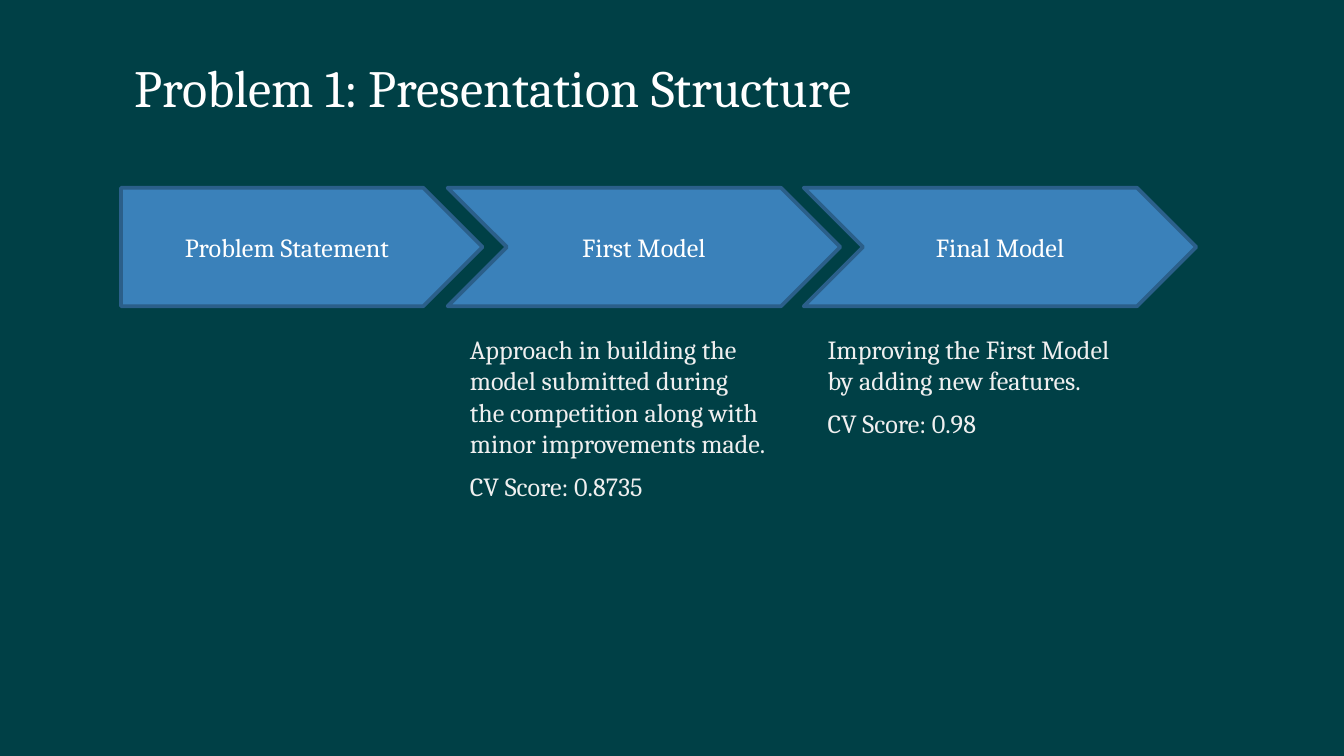
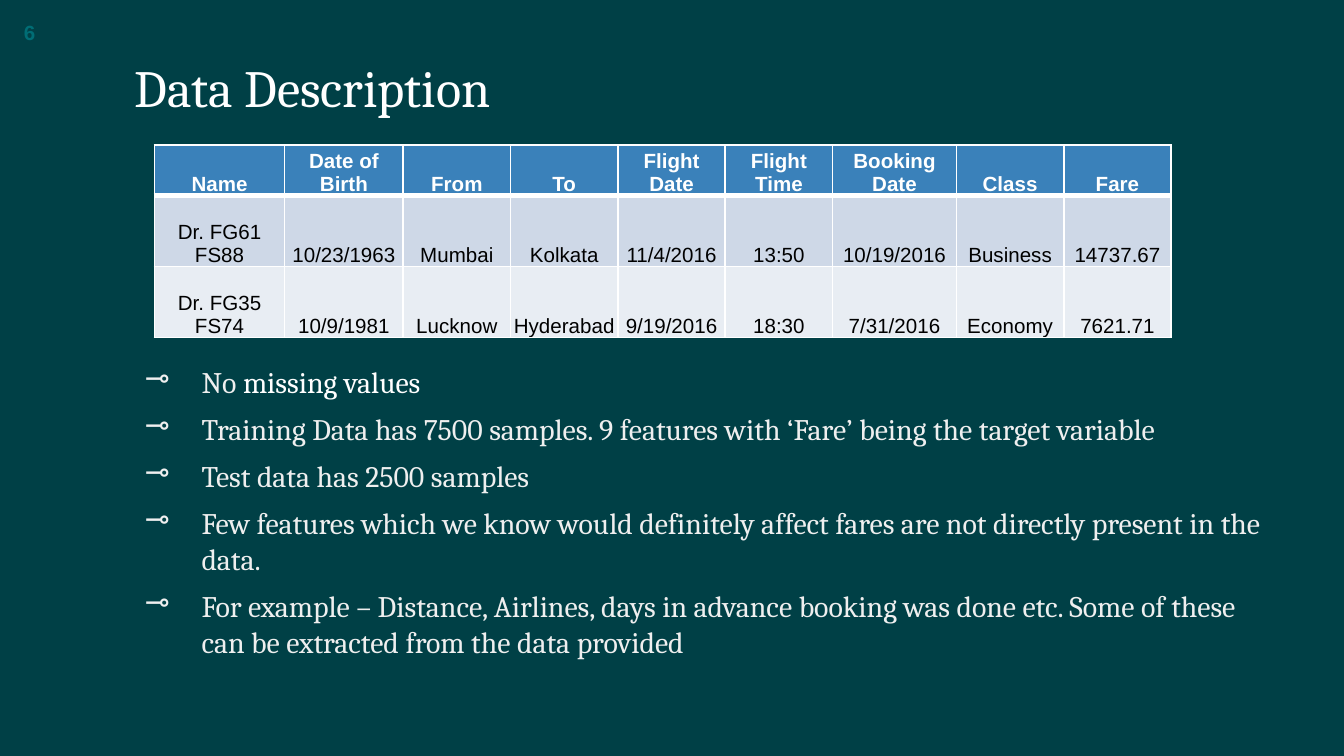
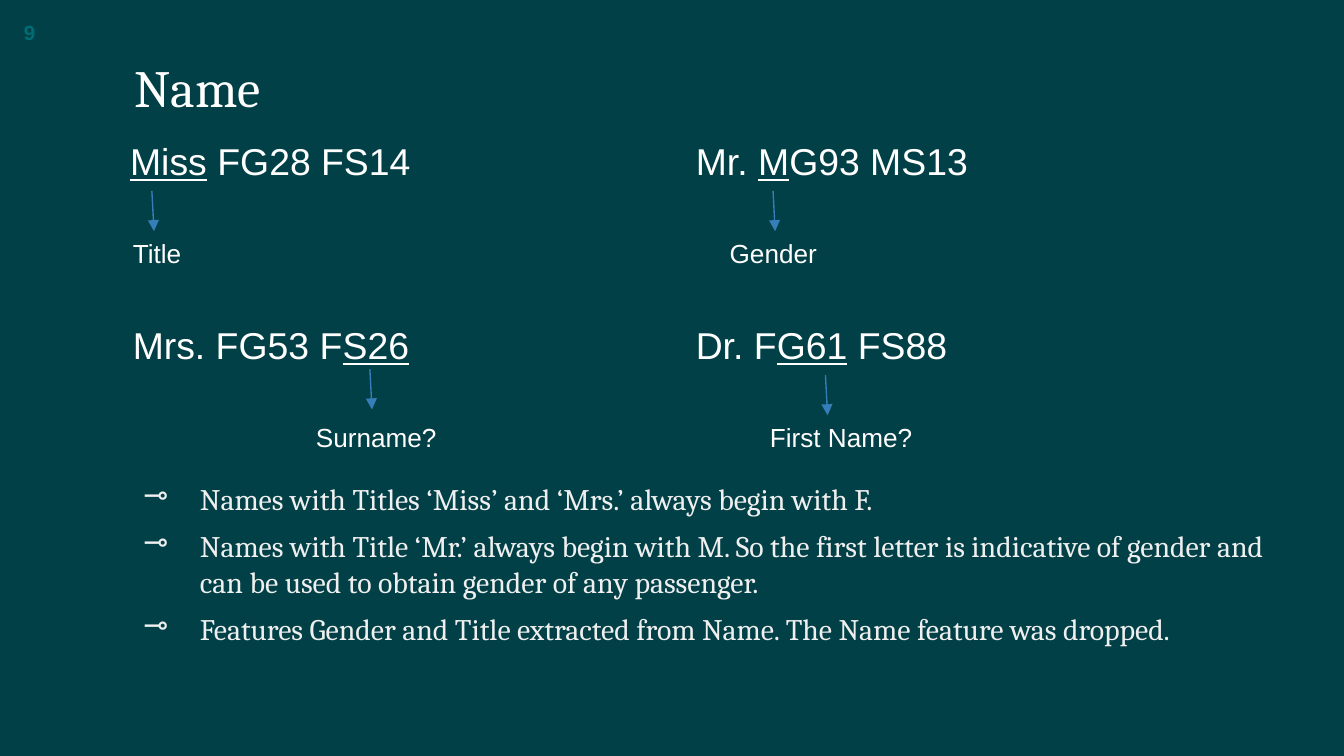
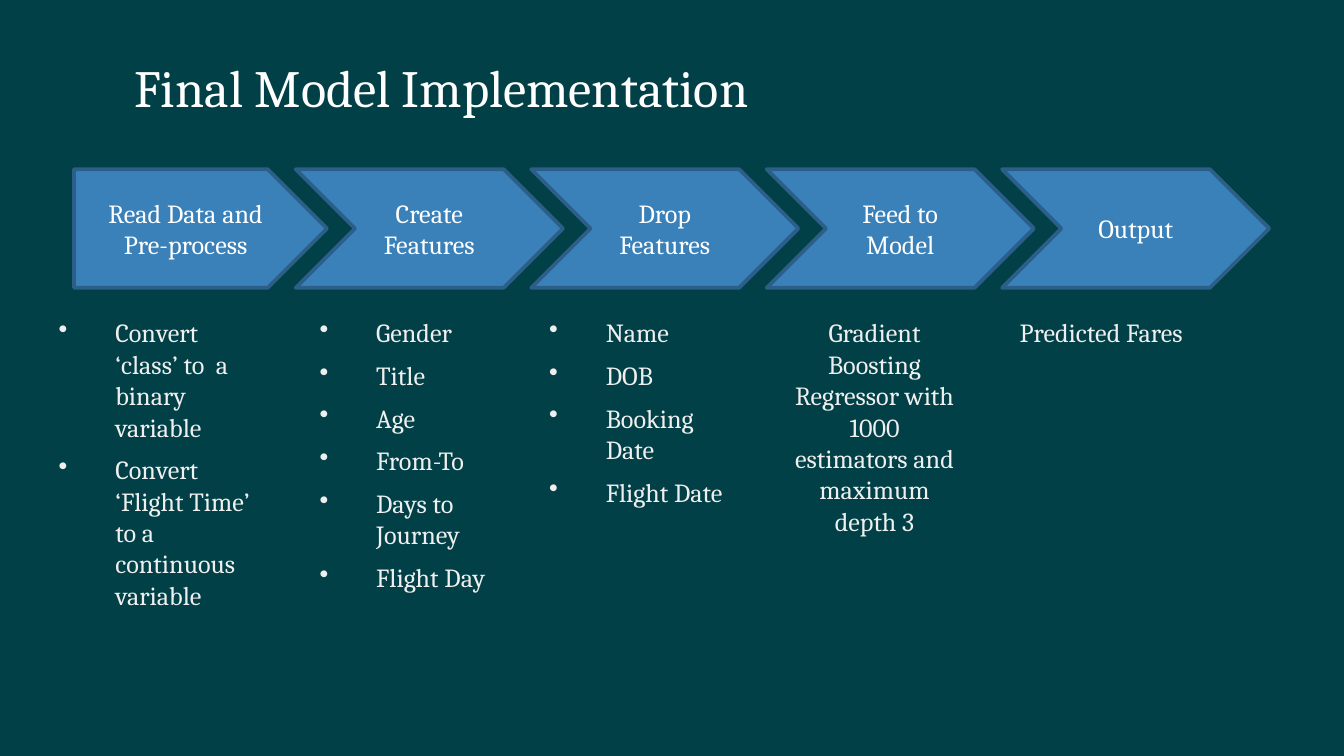
"""Build four slides on a flight fare prediction model."""
from dataclasses import dataclass

import pptx
import pptx.dml.color
import pptx.enum.shapes
import pptx.enum.text
import pptx.oxml
import pptx.oxml.ns
import pptx.util
from pptx.util import Cm

ALIGN = pptx.enum.text.PP_ALIGN
ANCHOR = pptx.enum.text.MSO_ANCHOR
SHAPE = pptx.enum.shapes.MSO_SHAPE


@dataclass(frozen=True)
class Theme:
    """Colours, fonts and type sizes shared by the slides."""

    background: str = "004046"
    white: str = "FFFFFF"
    black: str = "000000"
    body: str = "EFEFEF"
    page_number: str = "006D75"
    blue: str = "3A81BA"
    outline: str = "2B5F8A"
    pointer: str = "367EB9"
    bands: tuple = ("CED8E7", "E8EDF3")
    serif: str = "Cambria"
    sans: str = "Arial"
    title_size: int = 28
    name_size: int = 20
    bullet_size: int = 16
    text_size: int = 14
    table_size: int = 11


THEME = Theme()

FLIGHTS = (
    ("Name", "Date of Birth", "From", "To", "Flight Date", "Flight Time",
     "Booking Date", "Class", "Fare"),
    ("Dr. FG61 FS88", "10/23/1963", "Mumbai", "Kolkata", "11/4/2016", "13:50",
     "10/19/2016", "Business", "14737.67"),
    ("Dr. FG35 FS74", "10/9/1981", "Lucknow", "Hyderabad", "9/19/2016", "18:30",
     "7/31/2016", "Economy", "7621.71"),
)
COLUMN_WIDTHS = (2.46, 2.24, 2.03, 2.03, 2.03, 2.03, 2.34, 2.03, 2.03)
ROW_HEIGHTS = (0.96, 1.34, 1.34)


def color(value):
    """Turn a hex string into a colour."""
    return pptx.dml.color.RGBColor.from_string(value)


def style_run(run, size, hue, font=THEME.serif, bold=False, underline=False):
    """Set the type of one run."""
    run.font.name = font
    run.font.size = pptx.util.Pt(size)
    run.font.bold = bold
    run.font.underline = underline
    run.font.color.rgb = color(hue)


def style_text(text_frame, size, hue, font=THEME.serif, bold=False, align=ALIGN.LEFT):
    """Set the type and alignment of every paragraph in a frame."""
    for paragraph in text_frame.paragraphs:
        paragraph.alignment = align
        for run in paragraph.runs:
            style_run(run, size, hue, font, bold)


def set_margins(frame, left, top, right, bottom):
    """Set the inner margins of a text frame or table cell."""
    frame.margin_left, frame.margin_top = Cm(left), Cm(top)
    frame.margin_right, frame.margin_bottom = Cm(right), Cm(bottom)


def add_titled_slide(presentation, title, width=14.35):
    """Add a title-only slide with its title in place."""
    slide = presentation.slides.add_slide(presentation.slide_layouts[5])
    shape = slide.shapes.title
    shape.left, shape.top, shape.width, shape.height = Cm(2.29), Cm(0.51), Cm(width), Cm(1.98)
    text_frame = shape.text_frame
    text_frame.text = title
    text_frame.auto_size = pptx.enum.text.MSO_AUTO_SIZE.NONE
    text_frame.vertical_anchor = ANCHOR.BOTTOM
    set_margins(text_frame, 0.25, 0.25, 0.25, 0.25)
    style_text(text_frame, THEME.title_size, THEME.white)
    return slide


def add_text_box(slide, left, top, width, height, text):
    """Add a wrapping text box and return its frame."""
    shape = slide.shapes.add_textbox(Cm(left), Cm(top), Cm(width), Cm(height))
    text_frame = shape.text_frame
    text_frame.word_wrap = True
    text_frame.text = text
    return text_frame


def add_page_number(slide, number):
    """Add the page number in the top left corner."""
    text_frame = add_text_box(slide, 0.2, 0.2, 1.2, 0.81, number)
    text_frame.vertical_anchor = ANCHOR.MIDDLE
    style_text(text_frame, THEME.table_size, THEME.page_number, THEME.sans, bold=True)


def add_body(slide, left, top, width, height, lines, bullet=None,
             size=THEME.text_size, align=ALIGN.LEFT):
    """Add body paragraphs, with hanging bullets if a bullet is given."""
    text_frame = add_text_box(slide, left, top, width, height, "\n".join(lines))
    set_margins(text_frame, 0.25, 0.25, 0.25, 0.25)
    style_text(text_frame, size, THEME.body, align=align)
    for paragraph in text_frame.paragraphs:
        paragraph.space_before = pptx.util.Pt(6)
        properties = paragraph._p.get_or_add_pPr()
        properties.set("marL", str(Cm(1.27 if bullet else 0.2)))
        properties.set("indent", str(Cm(-1.07 if bullet else 0)))
        if bullet:
            namespace = pptx.oxml.ns.nsdecls("a")
            properties.append(pptx.oxml.parse_xml(
                f'<a:buClr {namespace}><a:srgbClr val="{THEME.body}"/></a:buClr>'))
            properties.append(pptx.oxml.parse_xml(
                f'<a:buChar {namespace} char="{bullet}"/>'))
    return text_frame


def add_step(slide, preset, left, top, width, label):
    """Add one arrow-shaped process step."""
    shape = slide.shapes.add_shape(preset, Cm(left), Cm(top), Cm(width), Cm(2.24))
    shape.shadow.inherit = False
    shape.fill.solid()
    shape.fill.fore_color.rgb = color(THEME.blue)
    shape.line.color.rgb = color(THEME.outline)
    shape.line.width = pptx.util.Pt(2)
    shape.text_frame.text = label
    shape.text_frame.vertical_anchor = ANCHOR.MIDDLE
    style_text(shape.text_frame, THEME.text_size, THEME.white, align=ALIGN.CENTER)


def add_process(slide, labels, top, start, start_width, chevron_start, chevron_width, pitch):
    """Add a pentagon followed by evenly spaced chevrons."""
    add_step(slide, SHAPE.PENTAGON, start, top, start_width, labels[0])
    for index, label in enumerate(labels[1:]):
        add_step(slide, SHAPE.CHEVRON, chevron_start + index * pitch, top, chevron_width, label)


def add_cell_border(cell, side, points):
    """Draw one white edge of a table cell."""
    return pptx.oxml.parse_xml(
        f'<a:ln{side} {pptx.oxml.ns.nsdecls("a")} w="{pptx.util.Pt(points)}">'
        f'<a:solidFill><a:srgbClr val="{THEME.white}"/></a:solidFill></a:ln{side}>')


def style_cell(cell, is_header, fill):
    """Set the fill, type and borders of a table cell."""
    cell.fill.solid()
    cell.fill.fore_color.rgb = color(fill)
    cell.vertical_anchor = ANCHOR.BOTTOM
    set_margins(cell, 0.02, 0.02, 0.02, 0)
    style_text(cell.text_frame, THEME.table_size, THEME.white if is_header else THEME.black,
               THEME.sans, is_header, ALIGN.CENTER)
    properties = cell._tc.get_or_add_tcPr()
    for index, side in enumerate("LRTB"):
        points = 3 if is_header and side == "B" else 1
        properties.insert(index, add_cell_border(cell, side, points))


def add_flight_table(slide):
    """Add the table of sample flights."""
    table = slide.shapes.add_table(
        len(FLIGHTS), len(COLUMN_WIDTHS), Cm(2.92), Cm(2.74),
        Cm(sum(COLUMN_WIDTHS)), Cm(sum(ROW_HEIGHTS))).table
    for column, width in zip(table.columns, COLUMN_WIDTHS):
        column.width = Cm(width)
    fills = (THEME.blue, *THEME.bands)
    for row, height, values, fill in zip(table.rows, ROW_HEIGHTS, FLIGHTS, fills):
        row.height = Cm(height)
        for cell, value in zip(row.cells, values):
            cell.text = value
            style_cell(cell, values is FLIGHTS[0], fill)


def add_name_example(slide, left, top, parts):
    """Add a passenger name whose middle part is underlined."""
    text_frame = add_text_box(slide, left, top, 6.88, 1.12, "")
    for index, part in enumerate(parts):
        if part:
            run = text_frame.paragraphs[0].add_run()
            run.text = part
            style_run(run, THEME.name_size, THEME.white, THEME.sans, underline=index == 1)


def add_pointer(slide, left, top):
    """Add a short arrow pointing down."""
    connector = slide.shapes.add_connector(
        pptx.enum.shapes.MSO_CONNECTOR.STRAIGHT,
        Cm(left), Cm(top), Cm(left + 0.04), Cm(top + 0.76))
    connector.line.color.rgb = color(THEME.pointer)
    connector.line.width = pptx.util.Pt(0.75)
    namespace = pptx.oxml.ns.nsdecls("a")
    connector.line._get_or_add_ln().append(
        pptx.oxml.parse_xml(f'<a:tailEnd {namespace} type="triangle"/>'))
    connector._element.spPr.append(pptx.oxml.parse_xml(f'<a:effectLst {namespace}/>'))


def build_structure(presentation):
    """Build the slide on the presentation structure."""
    slide = add_titled_slide(presentation, "Problem 1: Presentation Structure", 15.57)
    add_process(slide, ("Problem Statement", "First Model", "Final Model"),
                3.55, 2.29, 6.83, 8.46, 7.42, 6.73)
    add_body(slide, 8.43, 6.05, 6.3, 5.61, (
        "Approach in building the model submitted during the competition along with "
        "minor improvements made.", "CV Score: 0.8735"))
    add_body(slide, 15.19, 6.05, 6.3, 3, (
        "Improving the First Model by adding new features.", "CV Score: 0.98"))


def build_data_description(presentation):
    """Build the slide on the data."""
    slide = add_titled_slide(presentation, "Data Description")
    add_page_number(slide, "6")
    add_flight_table(slide)
    text_frame = add_body(slide, 2.29, 6.63, 21.87, 7.06, (
        "No ",
        "Training Data has 7500 samples. 9 features with ‘Fare’ being the target variable",
        "Test data has 2500 samples",
        "Few features which we know would definitely affect fares are not directly present "
        "in the data.",
        "For example – Distance, Airlines, days in advance booking was done etc. Some of "
        "these can be extracted from the data provided",
    ), "⊸", THEME.bullet_size)
    run = text_frame.paragraphs[0].add_run()
    run.text = "missing values"
    style_run(run, THEME.bullet_size, THEME.white)


def build_name(presentation):
    """Build the slide on the parts of a passenger name."""
    slide = add_titled_slide(presentation, "Name")
    add_page_number(slide, "9")
    upper, lower = 2.49, 5.97
    examples = (
        (2.21, upper, ("", "Miss", " FG28 FS14"), 2.87, 3.61, "Title", 2.26),
        (12.9, upper, ("Mr. ", "M", "G93 MS13"), 14.61, 3.61, "Gender", 13.54),
        (2.26, lower, ("Mrs. FG53 F", "S26", ""), 6.99, 6.98, "Surname?", 5.72),
        (12.9, lower, ("Dr. F", "G61", " FS88"), 15.6, 7.09, "First Name?", 14.3),
    )
    for left, top, parts, pointer_left, pointer_top, label, label_left in examples:
        add_name_example(slide, left, top, parts)
        add_pointer(slide, pointer_left, pointer_top)
        text_frame = add_text_box(slide, label_left, top + 1.87, 3.33, 0.86, label)
        style_text(text_frame, THEME.text_size, THEME.white, THEME.sans)
    add_body(slide, 2.26, 8.84, 21.89, 4.52, (
        "Names with Titles ‘Miss’ and ‘Mrs.’ always begin with F.",
        "Names with Title ‘Mr.’ always begin with M. So the first letter is indicative of "
        "gender and can be used to obtain gender of any passenger.",
        "Features Gender and Title extracted from Name. The Name feature was dropped.",
    ), "⊸", THEME.bullet_size)


def build_implementation(presentation):
    """Build the slide on the final model."""
    slide = add_titled_slide(presentation, "Final Model Implementation")
    add_process(slide, ("Read Data and Pre-process", "Create\nFeatures", "Drop Features",
                        "Feed to Model", "Output"), 3.2, 1.4, 4.78, 5.59, 5.05, 4.45)
    columns = (
        (0.66, 4.32, "•", ALIGN.LEFT, (
            "Convert ‘class’ to  a binary variable",
            "Convert ‘Flight Time’ to a continuous variable")),
        (5.59, 3.96, "•", ALIGN.LEFT, (
            "Gender", "Title", "Age", "From-To", "Days to Journey", "Flight Day")),
        (9.93, 4.11, "•", ALIGN.LEFT, ("Name", "DOB", "Booking Date", "Flight Date")),
        (14.5, 3.86, None, ALIGN.CENTER, (
            "Gradient Boosting Regressor with 1000 estimators and maximum depth 3",)),
        (18.82, 3.86, None, ALIGN.LEFT, ("Predicted Fares",)),
    )
    for left, width, bullet, align, lines in columns:
        add_body(slide, left, 5.74, width, 6.45, lines, bullet, align=align)


def main():
    """Build and save the presentation."""
    presentation = pptx.Presentation()
    presentation.slide_width, presentation.slide_height = Cm(25.4), Cm(14.29)
    fill = presentation.slide_master.background.fill
    fill.solid()
    fill.fore_color.rgb = color(THEME.background)
    build_structure(presentation)
    build_data_description(presentation)
    build_name(presentation)
    build_implementation(presentation)
    presentation.save("out.pptx")


if __name__ == "__main__":
    main()
